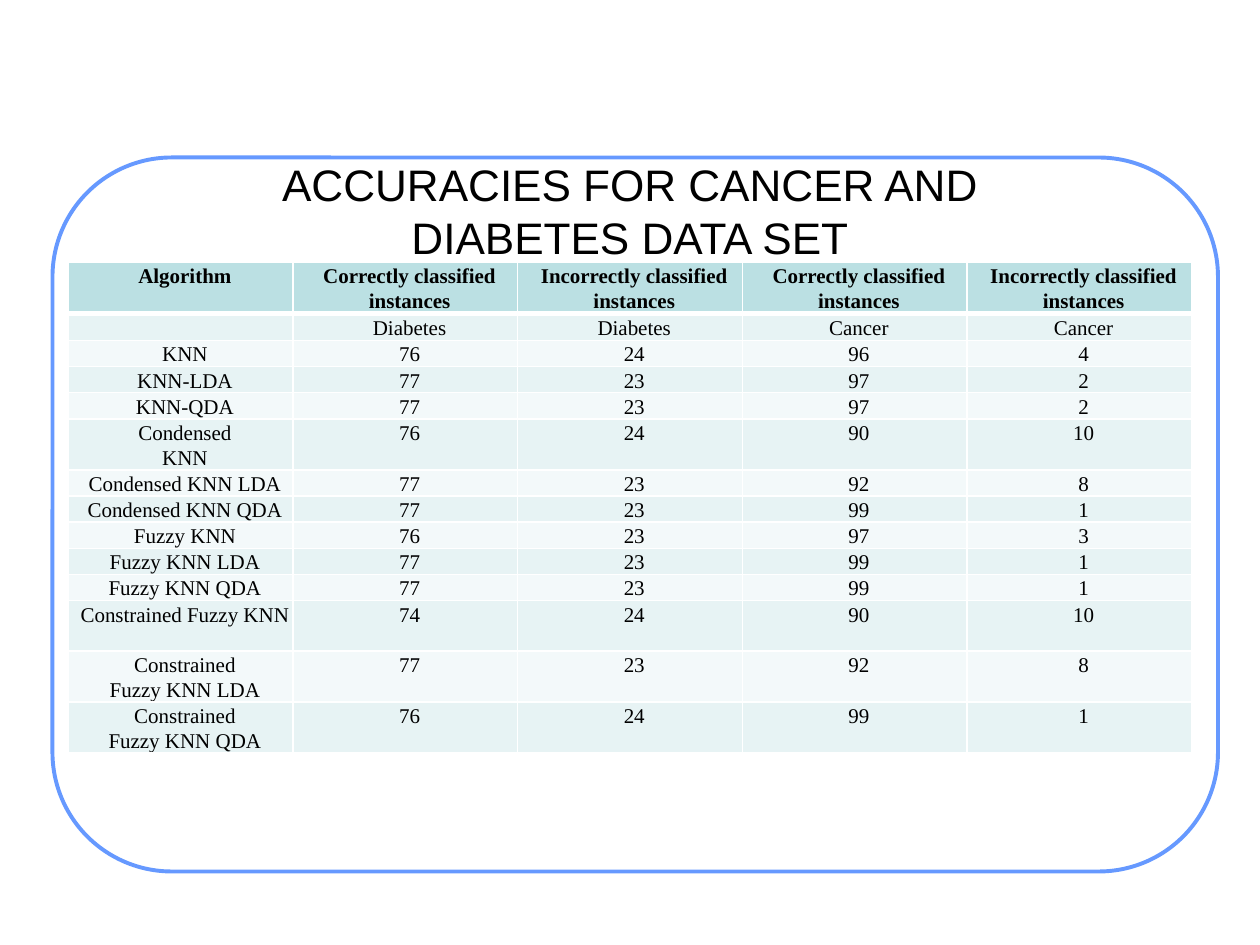
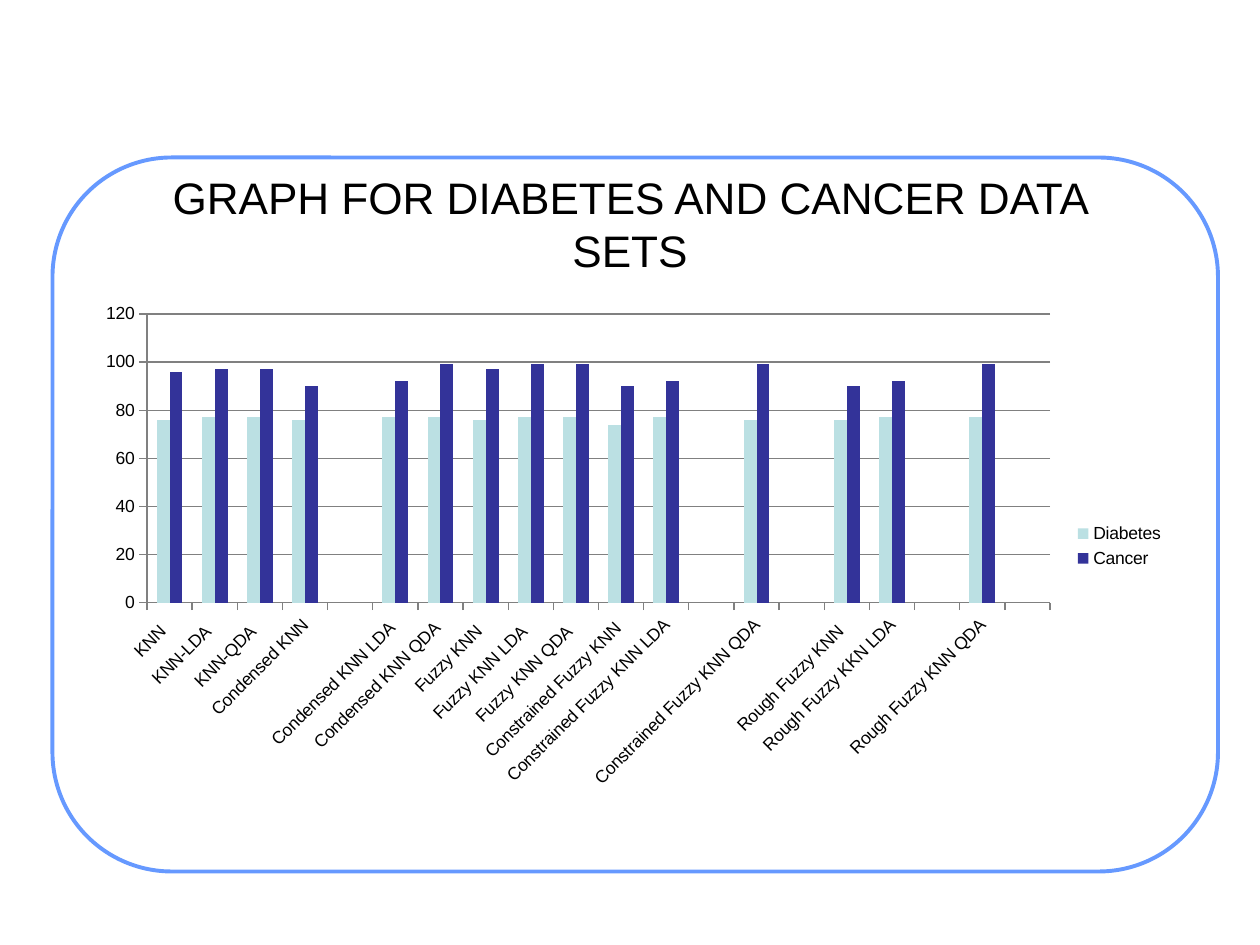
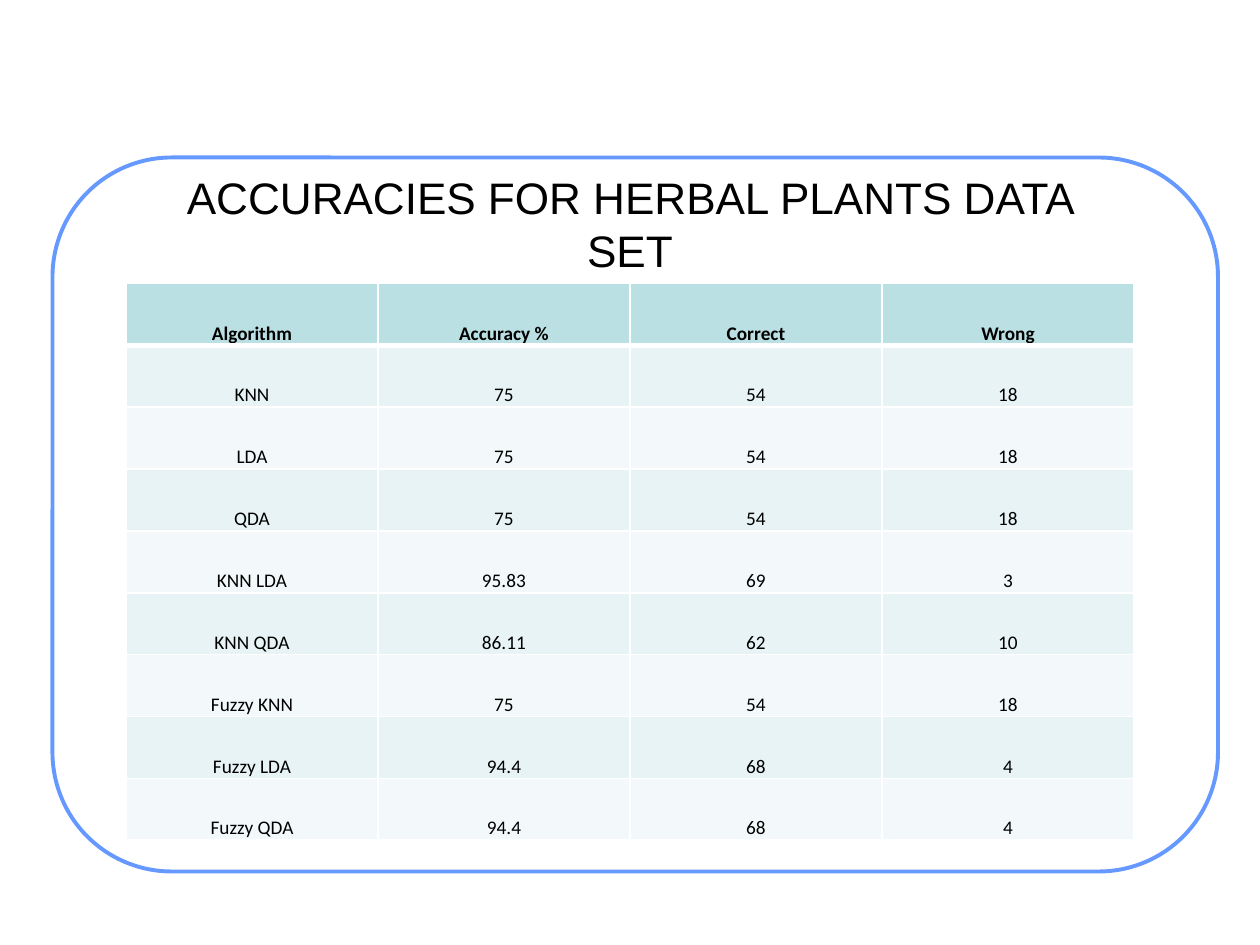
from dataclasses import dataclass

from lxml import etree
from pptx import Presentation
from pptx import util as u
from pptx.chart.data import CategoryChartData
from pptx.dml.color import RGBColor
from pptx.enum import chart as ch, shapes, text
from pptx.oxml import parse_xml
from pptx.oxml.ns import nsdecls, qn

Pt = u.Pt


@dataclass(frozen=True)
class Theme:
    ink: str = "000000"
    paper: str = "FFFFFF"
    frame: str = "6699FF"
    aqua: str = "BBE0E3"
    navy: str = "333399"
    axis: str = "808080"
    bands: tuple = ("E7F3F4", "F3F9FA")
    title_size: float = 25.2
    chart_size: float = 10
    title_font: str = "Arial"


@dataclass(frozen=True)
class TableStyle:
    font: str
    size: float
    spacing: float
    insets: tuple  # left, top, right, bottom
    anchor: text.MSO_ANCHOR


SERIF = TableStyle("Times New Roman", 12, 1.07, (5, 0.7, 0, 0), text.MSO_ANCHOR.TOP)
SANS = TableStyle("Calibri", 11, 1.15, (5, 0, 5, 0), text.MSO_ANCHOR.BOTTOM)

CORRECT, INCORRECT = "Correctly classified instances", "Incorrectly classified instances"
RESULTS = [
    ("Algorithm", CORRECT, INCORRECT, CORRECT, INCORRECT),
    ("", "Diabetes", "Diabetes", "Cancer", "Cancer"),
    ("KNN", 76, 24, 96, 4),
    ("KNN-LDA", 77, 23, 97, 2),
    ("KNN-QDA", 77, 23, 97, 2),
    ("Condensed\nKNN", 76, 24, 90, 10),
    ("Condensed KNN LDA", 77, 23, 92, 8),
    ("Condensed KNN QDA", 77, 23, 99, 1),
    ("Fuzzy KNN", 76, 23, 97, 3),
    ("Fuzzy KNN LDA", 77, 23, 99, 1),
    ("Fuzzy KNN QDA", 77, 23, 99, 1),
    ("Constrained Fuzzy KNN", 74, 24, 90, 10),
    ("Constrained\nFuzzy KNN LDA", 77, 23, 92, 8),
    ("Constrained\nFuzzy KNN QDA", 76, 24, 99, 1),
]
TALL_ROWS = {0, 5, 11, 12, 13}

CHART_NAMES = [
    "KNN  ", "KNN-LDA  ", "KNN-QDA  ", "Condensed KNN", "",
    "Condensed KNN LDA ", "Condensed KNN QDA ", "Fuzzy KNN  ", "Fuzzy KNN LDA  ",
    "Fuzzy KNN QDA  ", "Constrained Fuzzy KNN ", "Constrained Fuzzy KNN LDA", "",
    "Constrained Fuzzy KNN QDA", "", "Rough Fuzzy KNN  ", "Rough Fuzzy KKN LDA", "",
    "Rough Fuzzy KNN QDA",
]
DIABETES = [76, 77, 77, 76, None, 77, 77, 76, 77, 77,
            74, 77, None, 76, None, 76, 77, None, 77, None]
CANCER = [96, 97, 97, 90, None, 92, 99, 97, 99, 99,
          90, 92, None, 99, None, 90, 92, None, 99, None]

HERBAL = [
    ("Algorithm", "Accuracy %", "Correct", "Wrong"),
    ("KNN", 75, 54, 18),
    ("LDA", 75, 54, 18),
    ("QDA", 75, 54, 18),
    ("KNN LDA", 95.83, 69, 3),
    ("KNN QDA", 86.11, 62, 10),
    ("Fuzzy KNN", 75, 54, 18),
    ("Fuzzy LDA", 94.4, 68, 4),
    ("Fuzzy QDA", 94.4, 68, 4),
]


def rgb(value):
    return RGBColor.from_string(value)


def write(tf, content, *, font, size, color, bold=False, spacing=None,
          align=text.PP_ALIGN.CENTER):
    """Fill a text frame, one paragraph for each line of content."""
    for i, line in enumerate(content.split("\n")):
        p = tf.add_paragraph() if i else tf.paragraphs[0]
        p.alignment, p.line_spacing = align, spacing
        if not line:
            etree.SubElement(p._p, qn("a:endParaRPr"), sz=str(int(size * 100)))
            continue
        r = p.add_run()
        r.text = line
        r.font.name, r.font.size, r.font.bold = font, Pt(size), bold
        r.font.color.rgb = rgb(color)


def set_borders(cell, color, **widths):
    """Add cell borders, with widths in points for L, R, T and B in that order."""
    tc_pr = cell._tc.get_or_add_tcPr()
    for side, width in widths.items():
        tc_pr.append(parse_xml(
            f'<a:ln{side} {nsdecls("a")} w="{Pt(width)}"><a:solidFill>'
            f'<a:srgbClr val="{color}"/></a:solidFill></a:ln{side}>'))


class Deck:
    def __init__(self, theme):
        self.theme = theme
        self.prs = Presentation()
        self.prs.slide_width, self.prs.slide_height = Pt(720), Pt(540)
        self.s = None

    def slide(self, title, title_height=63):
        t = self.theme
        self.s = self.prs.slides.add_slide(self.prs.slide_layouts[5])
        sp = self.s.shapes.title
        sp.left, sp.top, sp.width, sp.height = Pt(90), Pt(96), Pt(540), Pt(title_height)
        tf = sp.text_frame
        tf.word_wrap, tf.auto_size = True, text.MSO_AUTO_SIZE.NONE
        tf.vertical_anchor = text.MSO_ANCHOR.MIDDLE
        tf.margin_left = tf.margin_right = Pt(7.2)
        write(tf, title, font=t.title_font, size=t.title_size, color=t.ink)
        self.frame()

    def frame(self):
        """Put the rounded frame behind the title."""
        sp = self.s.shapes.add_shape(shapes.MSO_SHAPE.ROUNDED_RECTANGLE,
                                     Pt(30), Pt(90), Pt(666), Pt(408))
        sp.shadow.inherit = False
        sp.adjustments[0] = 0.167
        sp.fill.solid()
        sp.fill.fore_color.rgb = rgb(self.theme.paper)
        sp.line.color.rgb = rgb(self.theme.frame)
        sp.line.width = Pt(2.25)
        self.s.shapes.title.element.addprevious(sp.element)

    def table(self, rows, left, top, width, heights, style):
        t = self.theme
        columns = len(rows[0])
        table = self.s.shapes.add_table(len(rows), columns, Pt(left), Pt(top),
                                        Pt(width), Pt(sum(heights))).table
        table.horz_banding = False
        for column in table.columns:
            column.width = Pt(width / columns)
        for i, (values, height) in enumerate(zip(rows, heights)):
            table.rows[i].height = Pt(height)
            for cell, value in zip(table.rows[i].cells, values):
                (cell.margin_left, cell.margin_top,
                 cell.margin_right, cell.margin_bottom) = map(Pt, style.insets)
                cell.vertical_anchor = style.anchor
                set_borders(cell, t.paper, L=1, R=1,
                            T=3 if i == 1 else 1, B=3 if i == 0 else 1)
                cell.fill.solid()
                cell.fill.fore_color.rgb = rgb(t.bands[(i - 1) % 2] if i else t.aqua)
                write(cell.text_frame, str(value), font=style.font, size=style.size,
                      color=t.ink, bold=i == 0, spacing=style.spacing)

    def column_chart(self, categories, series, left, top, width, height):
        """Draw clustered columns from a dict of series name to (values, colour)."""
        t = self.theme
        data = CategoryChartData()
        data.categories = categories
        for name, (values, _) in series.items():
            data.add_series(name, values)
        chart = self.s.shapes.add_chart(ch.XL_CHART_TYPE.COLUMN_CLUSTERED, Pt(left), Pt(top),
                                        Pt(width), Pt(height), data).chart
        chart.has_title = False
        chart.font.name, chart.font.size = t.title_font, Pt(t.chart_size)
        chart.font.color.rgb = rgb(t.ink)
        chart.has_legend = True
        chart.legend.position = ch.XL_LEGEND_POSITION.RIGHT
        chart.legend.include_in_layout = False

        plot = chart.plots[0]
        plot.gap_width, plot.overlap, plot.vary_by_categories = 150, 0, False
        for bars, (_, color) in zip(plot.series, series.values()):
            bars.format.fill.solid()
            bars.format.fill.fore_color.rgb = rgb(color)

        value_axis, category_axis = chart.value_axis, chart.category_axis
        value_axis.minimum_scale, value_axis.maximum_scale = 0, 120
        value_axis.major_unit = 20
        value_axis.has_major_gridlines = True
        for axis in (value_axis, category_axis):
            axis.major_tick_mark = ch.XL_TICK_MARK.OUTSIDE
        for line in (value_axis.format.line, category_axis.format.line,
                     value_axis.major_gridlines.format.line):
            line.color.rgb = rgb(t.axis)
            line.width = Pt(0.75)
        category_axis.tick_labels.font.size = Pt(t.chart_size)
        category_axis._element.find(qn("c:txPr")).find(qn("a:bodyPr")).set("rot", "-2700000")


def main():
    theme = Theme()
    deck = Deck(theme)

    deck.slide("ACCURACIES FOR CANCER AND DIABETES DATA SET", title_height=48)
    heights = [28.8 if i in TALL_ROWS else 14.8 for i in range(len(RESULTS))]
    deck.table(RESULTS, 39, 150, 642, heights, SERIF)

    deck.slide("GRAPH FOR DIABETES AND CANCER DATA SETS")
    deck.column_chart(CHART_NAMES, {"Diabetes  ": (DIABETES, theme.aqua),
                                    "Cancer  ": (CANCER, theme.navy)}, 48, 168, 630, 288)

    deck.slide("ACCURACIES FOR HERBAL PLANTS DATA SET")
    deck.table(HERBAL, 72, 162, 576, [35.35] * len(HERBAL), SANS)

    deck.prs.save("out.pptx")


if __name__ == "__main__":
    main()
